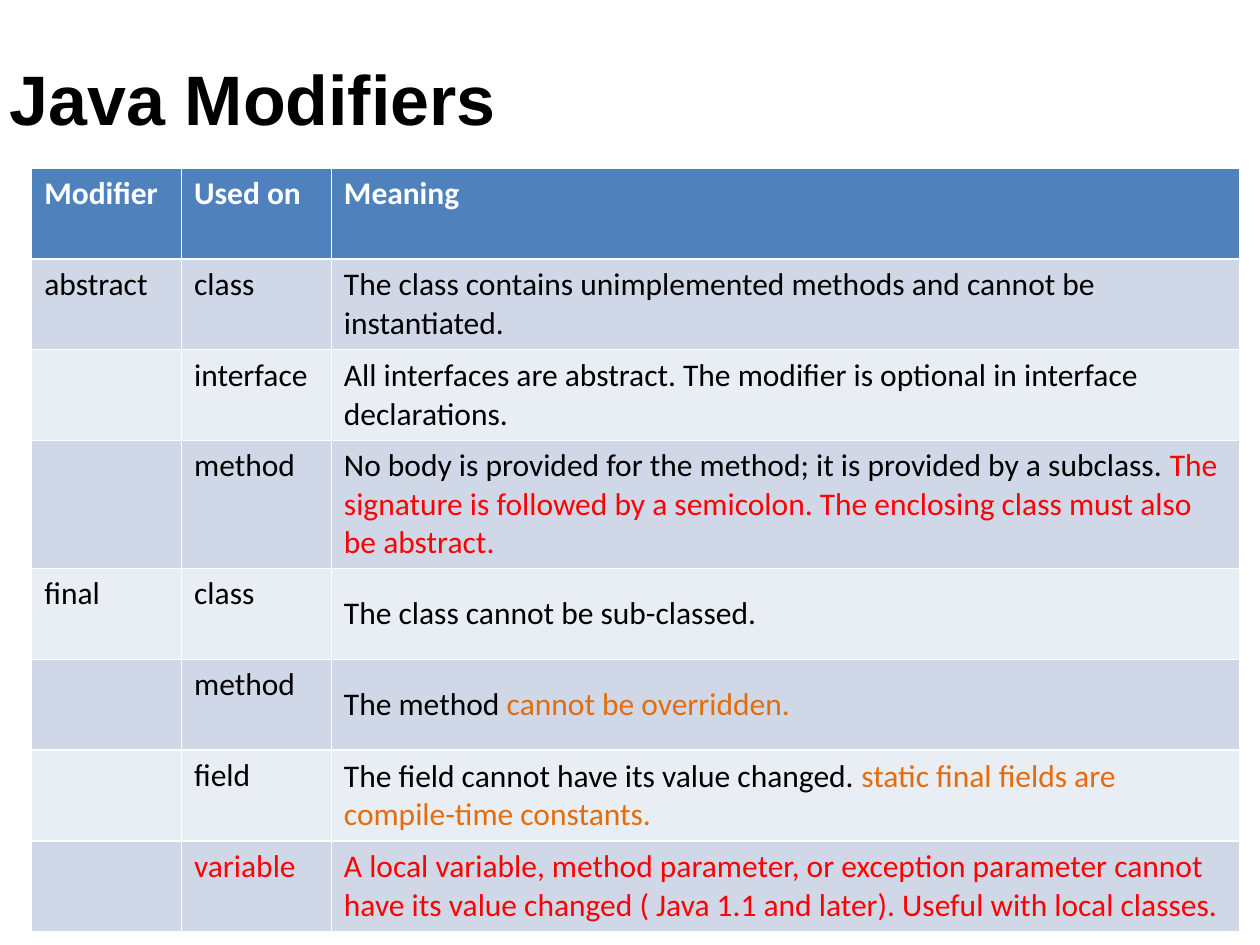
from dataclasses import dataclass
from pptx import Presentation
from pptx.dml.color import RGBColor as Rgb
from pptx.enum import text
from pptx.util import Cm, Pt


@dataclass
class Theme:
    head: Rgb = Rgb.from_string("4F81BD")
    bands: tuple = (Rgb.from_string("E9EDF4"), Rgb.from_string("D0D8E8"))
    white: Rgb = Rgb.from_string("FFFFFF")
    black: Rgb = Rgb.from_string("000000")
    red: Rgb = Rgb.from_string("FF0000")
    orange: Rgb = Rgb.from_string("E46C0A")
    title: Pt = Pt(40)
    body: Pt = Pt(18)


look = Theme()


def style(para, font, size, color, bold):
    para.font.name = font
    para.font.size = size
    para.font.bold = bold
    para.font.color.rgb = color


deck = Presentation()
deck.slide_width, deck.slide_height = Cm(25.4), Cm(19.05)
slide = deck.slides.add_slide(deck.slide_layouts[5])

title = slide.shapes.title
title.left, title.top, title.width, title.height = Cm(0.2), Cm(1.12), Cm(25), Cm(1.7)
frame = title.text_frame
frame.text = "Java Modifiers"
frame.auto_size = text.MSO_AUTO_SIZE.NONE
frame.vertical_anchor = text.MSO_ANCHOR.MIDDLE
frame.margin_left = frame.margin_right = frame.margin_top = frame.margin_bottom = 0
frame.paragraphs[0].alignment = text.PP_ALIGN.LEFT
style(frame.paragraphs[0], "Arial", look.title, look.black, True)

rows = [
    ("Modifier", "Used on", "Meaning"),
    ("abstract", "class", "The class contains unimplemented methods and cannot be instantiated."),
    ("", "interface", "All interfaces are abstract. The modifier is optional in interface declarations."),
    ("", "method", "No body is provided for the method; it is provided by a subclass. "),
    ("final", "class", "The class cannot be sub-classed."),
    ("", "method", "The method "),
    ("", "field", "The field cannot have its value changed. "),
    ("", "variable", "A local variable, method parameter, or exception parameter cannot "
     "have its value changed ( Java 1.1 and later). Useful with local classes."),
]
tails = {
    3: ("The signature is followed by a semicolon. The enclosing class must also be abstract.", look.red),
    5: ("cannot be overridden.", look.orange),
    6: ("static final fields are compile-time constants.", look.orange),
}
widths = [Cm(3.02), Cm(3.02), Cm(18.32)]
high = Cm(1.83)

grid = slide.shapes.add_table(
    len(rows), len(widths), Cm(0.64), Cm(3.39), sum(widths), high * len(rows)).table
for col, width in zip(grid.columns, widths):
    col.width = width

for r, row in enumerate(rows):
    grid.rows[r].height = high
    color = look.white if r == 0 else look.red if row[1] == "variable" else look.black
    for c, words in enumerate(row):
        cell = grid.cell(r, c)
        cell.fill.solid()
        cell.fill.fore_color.rgb = look.bands[r % 2] if r else look.head
        para = cell.text_frame.paragraphs[0]
        style(para, "Calibri", look.body, color, r == 0)
        if words:
            para.add_run().text = words
        if r and c == 2:
            cell.vertical_anchor = text.MSO_ANCHOR.MIDDLE
            if r in tails:
                run = para.add_run()
                run.text, run.font.color.rgb = tails[r]

deck.save("out.pptx")
